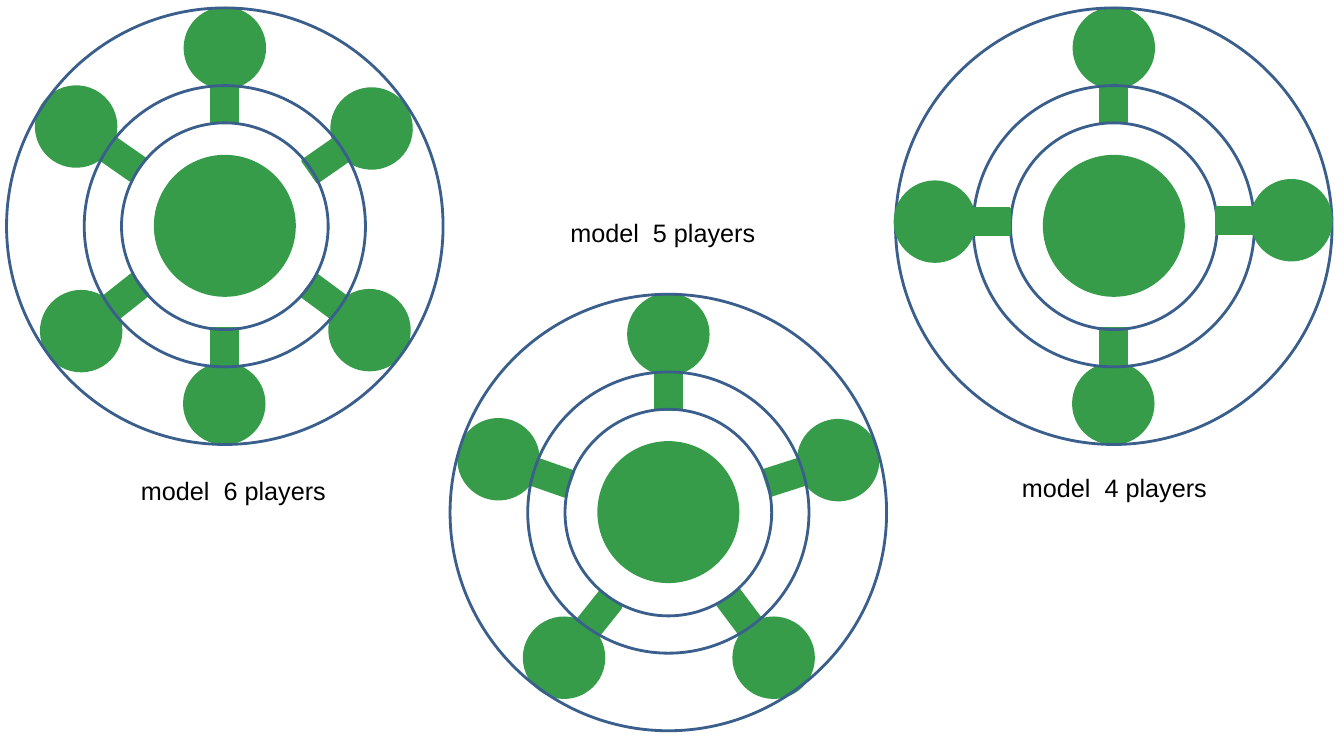
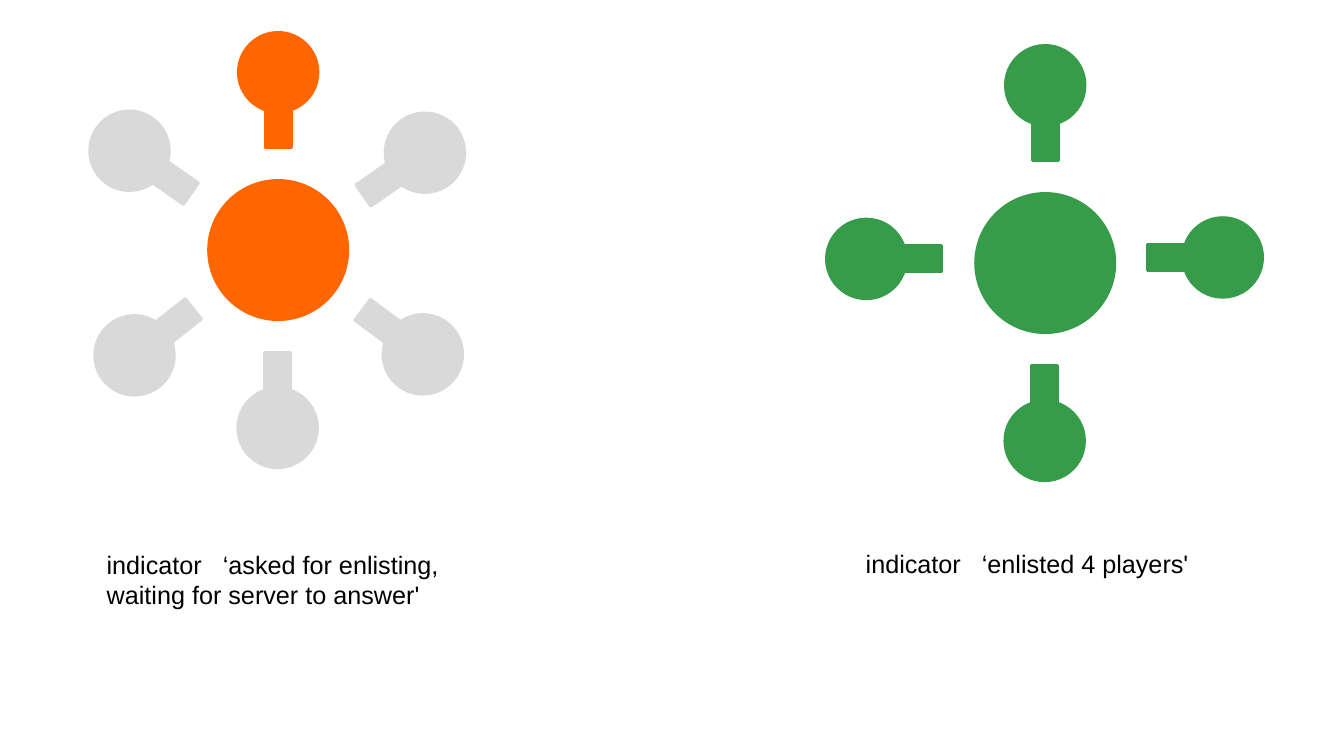
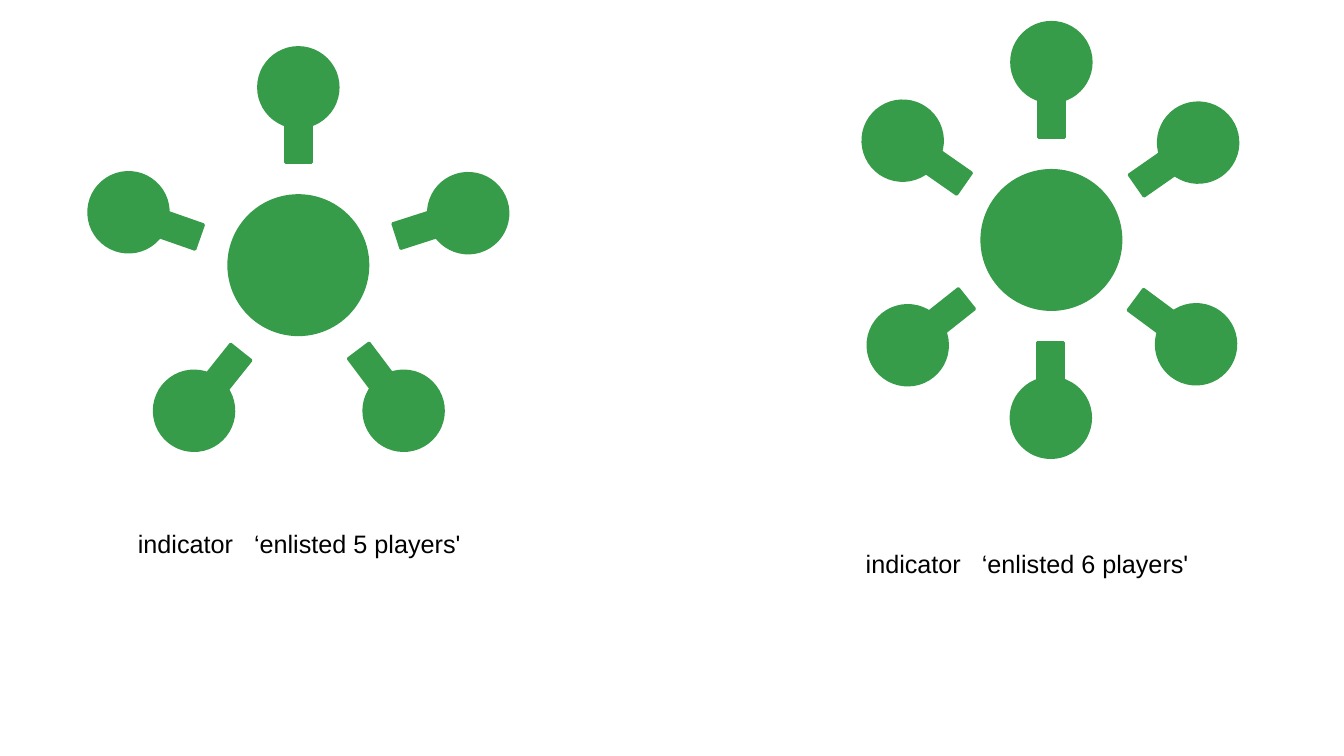
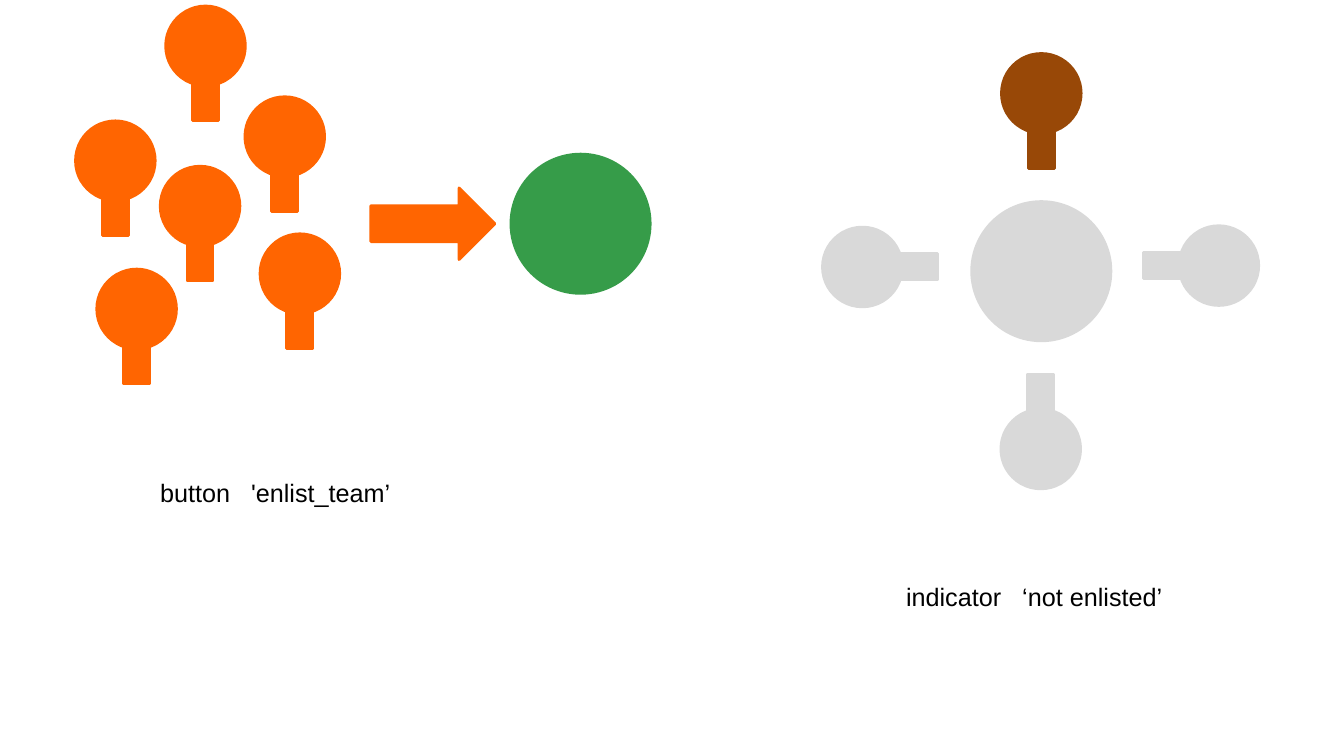
from dataclasses import dataclass
from math import cos, radians, sin

from lxml.etree import SubElement
from pptx import Presentation
from pptx.dml.color import RGBColor
from pptx.enum.shapes import MSO_SHAPE
from pptx.enum.text import MSO_AUTO_SIZE
from pptx.oxml.ns import qn
from pptx.util import Pt


@dataclass(frozen=True)
class Theme:
    """Colours, type and line weight shared by all slides."""
    enlisted: str = "369C49"
    waiting: str = "FF6600"
    applicant: str = "FF6501"
    captain: str = "984807"
    idle: str = "D9D9D9"
    ring: str = "3A5F8C"
    text: str = "000000"
    font: str = "Arial"
    size: float = 18
    line: float = 2


# Sizes in points
HUB = 99.4
HEAD = 56.9
STEM_W, STEM_H = 18.7, 50.4
STEM_OFFSET = 28.4  # from the centre of the head to the centre of the stem
RINGS = (311.8, 147.6, 200.9)

# Seats around a hub: x and y of the head from the hub centre, rotation
TOP = (0, -127, 0)
BOTTOM = (-0.4, 127, 180)
SEATS = {
    4: (TOP, BOTTOM, (-127.8, -3, 270), (126.8, -4, 90)),
    5: (TOP, (121.3, -37.1, 72.2), (75.2, 104, 143.1),
        (-121.3, -37.8, 289.3), (-74.5, 104, 218.6)),
    6: (TOP, (104.8, -69.5, 55.1), BOTTOM, (-106.2, -70.9, 304.9),
        (-102.6, 75.2, 231.6), (103.3, 74.5, 126.5)),
}
# Seats drawn beneath the rings; the others lie above them
SEATS_BELOW_RINGS = {4: 2, 5: 5, 6: 6}

# Where the second part of a label starts, by its first word
TABS = {"model": 59, "indicator": 83, "button": 65}


class Deck:
    """Holds the theme, the presentation, the slide and the open group."""

    def __init__(self, theme):
        """Start an empty presentation."""
        self.theme = theme
        self.prs = Presentation()
        self.prs.slide_width, self.prs.slide_height = Pt(960), Pt(540)

    def slide(self):
        """Add a blank slide."""
        self.s = self.prs.slides.add_slide(self.prs.slide_layouts[6])

    def group(self):
        """Open a group for the shapes that follow."""
        self.shapes = self.s.shapes.add_group_shape().shapes

    def shape(self, kind, cx, cy, w, h, line, fill=None, rotation=0):
        """Add a preset shape around a centre point."""
        sp = self.shapes.add_shape(
            kind, Pt(cx - w / 2), Pt(cy - h / 2), Pt(w), Pt(h))
        sp.shadow.inherit = False
        sp.rotation = rotation
        if fill:
            sp.fill.solid()
            sp.fill.fore_color.rgb = RGBColor.from_string(fill)
        else:
            sp.fill.background()
        sp.line.color.rgb = RGBColor.from_string(line)
        sp.line.width = Pt(self.theme.line)

    def circle(self, cx, cy, d, line, fill=None, rotation=0):
        """Add a circle around a centre point."""
        self.shape(MSO_SHAPE.OVAL, cx, cy, d, d, line, fill, rotation)

    def player(self, cx, cy, color, rotation=0):
        """Add a head with a stem pointing away from it."""
        a = radians(rotation)
        self.circle(cx, cy, HEAD, color, color, rotation)
        self.shape(MSO_SHAPE.RECTANGLE, cx - STEM_OFFSET * sin(a),
                   cy + STEM_OFFSET * cos(a), STEM_W, STEM_H,
                   color, color, rotation)

    def team(self, cx, cy, count, hub, first=None, others=None, rings=False):
        """Add a hub with its players, and rings if asked for."""
        self.group()
        self.circle(cx, cy, HUB, hub, hub)
        for i, (dx, dy, rotation) in enumerate(SEATS[count], 1):
            color = (first if i == 1 else others) or hub
            self.player(cx + dx, cy + dy, color, rotation)
            if rings and i == SEATS_BELOW_RINGS[count]:
                for d in RINGS:
                    self.circle(cx, cy + 0.3, d, self.theme.ring)

    def arrow(self, cx, cy, w, h, color):
        """Add a block arrow pointing right."""
        self.shape(MSO_SHAPE.RIGHT_ARROW, cx, cy, w, h, color, color)

    def label(self, x, y, w, word, name, h=29):
        """Add a label of a word and, at a tab stop, a name."""
        box = self.s.shapes.add_textbox(Pt(x), Pt(y), Pt(w), Pt(h))
        tf = box.text_frame
        tf.word_wrap = False
        tf.auto_size = MSO_AUTO_SIZE.SHAPE_TO_FIT_TEXT
        p = tf.paragraphs[0]
        p.text = f"{word}\t{name}"
        tabs = SubElement(p._p.get_or_add_pPr(), qn("a:tabLst"))
        SubElement(tabs, qn("a:tab"), pos=str(Pt(TABS[word])), algn="l")
        p.font.name = self.theme.font
        p.font.size = Pt(self.theme.size)
        p.font.color.rgb = RGBColor.from_string(self.theme.text)


def models(deck):
    """Ringed models for six, four and five players."""
    deck.slide()
    for count, cx, cy, x, y in ((6, 160.6, 161.3, 93.6, 336.2),
                                (4, 795.6, 161.3, 722.9, 334.1),
                                (5, 477.4, 365.8, 400.3, 151.9)):
        deck.team(cx, cy, count, deck.theme.enlisted, rings=True)
        deck.label(x, y, 147.6, "model", f"{count} players")


def enlisted(deck, count, cx, cy, x, y):
    """Indicator for a full team."""
    deck.team(cx, cy, count, deck.theme.enlisted)
    deck.label(x, y, 247, "indicator", f"‘enlisted {count} players'")


def waiting_and_four(deck):
    """Indicators for a waiting team and for four players."""
    t = deck.theme
    deck.slide()
    deck.team(198.7, 178.6, 6, t.waiting, others=t.idle)
    deck.label(69.1, 388.8, 259.2, "indicator",
               "‘asked for enlisting, \vwaiting for server to answer'", h=51)
    enlisted(deck, 4, 746.6, 187.9, 611.3, 388.1)


def five_and_six(deck):
    """Indicators for five and for six players."""
    deck.slide()
    enlisted(deck, 5, 213.1, 189.4, 91.4, 373.7)
    enlisted(deck, 6, 751, 171.4, 611.3, 388.1)


def button_and_idle(deck):
    """Button for enlisting and the indicator before it is used."""
    t = deck.theme
    deck.slide()
    deck.team(743.8, 193.7, 4, t.idle, first=t.captain)
    deck.group()
    deck.circle(414.7, 159.8, HUB, t.enlisted, t.enlisted)
    deck.arrow(309.2, 159.8, 88.6, 51.1, t.applicant)
    for cx, cy in ((146.8, 32.8), (203.4, 97.6), (142.9, 147.2),
                   (82.4, 114.8), (214.2, 195.5), (97.6, 220.7)):
        deck.player(cx, cy, t.applicant)
    deck.label(107.3, 337.7, 180, "button", "'enlist_team’")
    deck.label(640.1, 411.8, 198.7, "indicator", "‘not enlisted’")


deck = Deck(Theme())
for build in (models, waiting_and_four, five_and_six, button_and_idle):
    build(deck)
deck.prs.save("out.pptx")
